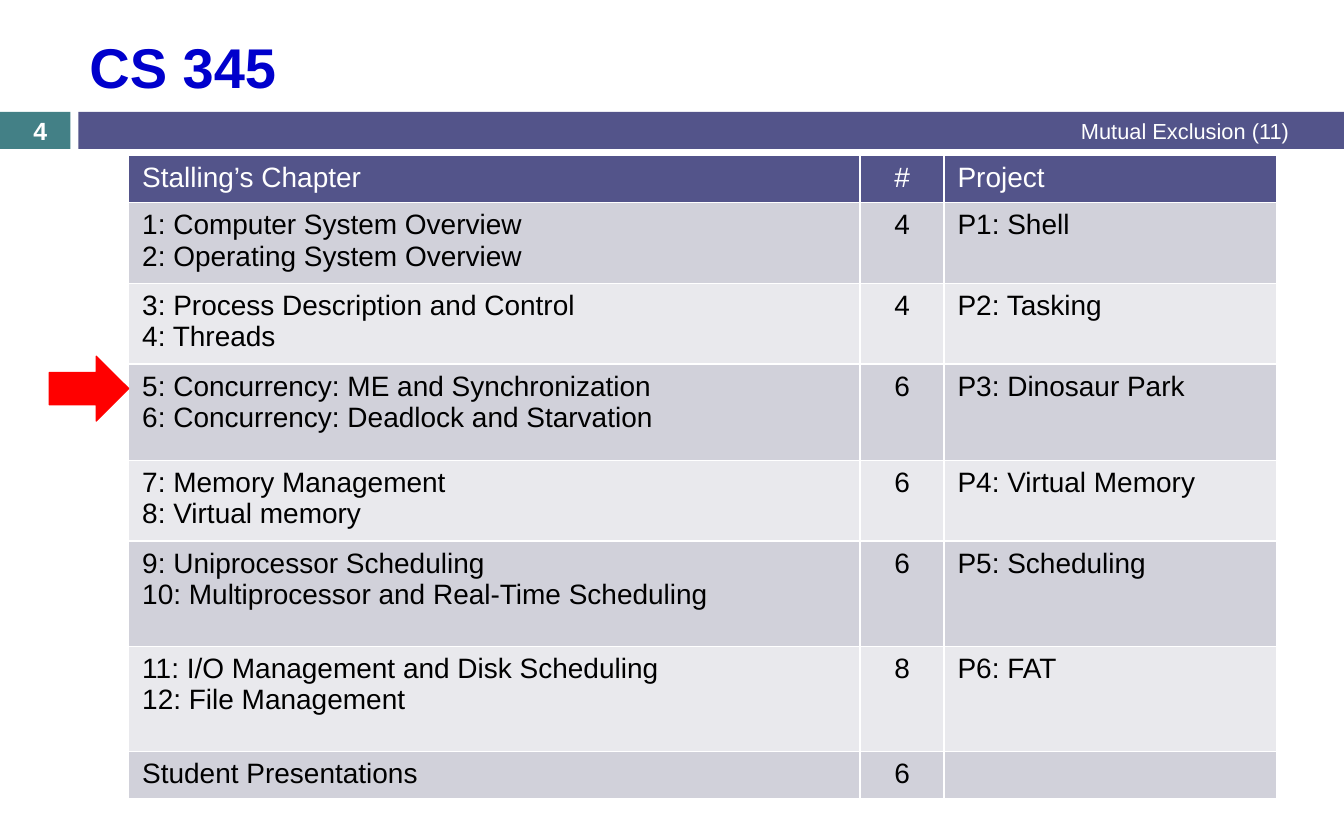
from lxml.etree import SubElement
from pptx import Presentation
from pptx.dml.color import RGBColor
from pptx.enum.shapes import MSO_SHAPE as Shape
from pptx.enum.text import MSO_ANCHOR as Anchor, PP_ALIGN as Align
from pptx.oxml.ns import qn
from pptx.util import Inches, Pt

WHITE, BLACK, INDIGO, TEAL, RED, BLUE = "FFFFFF", "000000", "53548A", "438086", "FF0000", "0000CC"
BANDS = ["E9E9ED", "D1D1DA"]

TITLE = "CS 345"
TOPIC = "Mutual Exclusion (11)"
PAGE = "4"
SCHEDULE = [
    ("Stalling’s Chapter", "#", "Project"),
    ("1: Computer System Overview\n2: Operating System Overview", "4", "P1: Shell"),
    ("3: Process Description and Control\n4: Threads", "4", "P2: Tasking"),
    ("5: Concurrency: ME and Synchronization\n6: Concurrency: Deadlock and Starvation", "6", "P3: Dinosaur Park"),
    ("7: Memory Management\n8: Virtual memory", "6", "P4: Virtual Memory"),
    ("9: Uniprocessor Scheduling\n10: Multiprocessor and Real-Time Scheduling", "6", "P5: Scheduling"),
    ("11: I/O Management and Disk Scheduling\n12: File Management", "8", "P6: FAT"),
    ("Student Presentations", "6", ""),
]
COLUMN_WIDTHS = [6.53, 0.75, 2.97]
ROW_HEIGHTS = [0.37, 0.65, 0.65, 0.86, 0.65, 0.94, 0.94, 0.37]
COLUMN_ALIGNS = [Align.LEFT, Align.CENTER, Align.LEFT]


def color(value):
    return RGBColor.from_string(value)


def inches(values):
    return [Inches(value) for value in values]


def write(text_frame, text, size, ink, align=Align.LEFT, bold=False):
    text_frame.text = text
    for paragraph in text_frame.paragraphs:
        paragraph.alignment = align
        font = paragraph.font
        for target in [font] + [run.font for run in paragraph.runs]:
            target.name, target.size, target.bold = "Arial", Pt(size), bold
            target.color.rgb = color(ink)


def add_text(slide, box, text, size, ink, align=Align.LEFT, bold=False):
    text_frame = slide.shapes.add_textbox(*inches(box)).text_frame
    text_frame.word_wrap = True
    text_frame.vertical_anchor = Anchor.MIDDLE
    write(text_frame, text, size, ink, align, bold)


def add_block(slide, kind, box, fill):
    shape = slide.shapes.add_shape(kind, *inches(box))
    shape.shadow.inherit = False
    shape.fill.solid()
    shape.fill.fore_color.rgb = color(fill)
    shape.line.fill.background()
    return shape


def add_borders(cell):
    properties = cell._tc.get_or_add_tcPr()
    for side in ("lnL", "lnR", "lnT", "lnB"):
        line = SubElement(properties, qn(f"a:{side}"), w=str(Pt(1)))
        SubElement(SubElement(line, qn("a:solidFill")), qn("a:srgbClr"), val=WHITE)


def add_schedule(slide, left, top):
    box = inches([left, top, sum(COLUMN_WIDTHS), sum(ROW_HEIGHTS)])
    table = slide.shapes.add_table(len(SCHEDULE), len(COLUMN_WIDTHS), *box).table
    for column, width in zip(table.columns, COLUMN_WIDTHS):
        column.width = Inches(width)
    for index, (row, height, texts) in enumerate(zip(table.rows, ROW_HEIGHTS, SCHEDULE)):
        row.height = Inches(height)
        fill, ink = (BANDS[index % 2], BLACK) if index else (INDIGO, WHITE)
        for cell, text, align in zip(row.cells, texts, COLUMN_ALIGNS):
            cell.margin_left = cell.margin_right = Inches(0.12)
            cell.margin_top = cell.margin_bottom = Inches(0.06)
            add_borders(cell)
            cell.fill.solid()
            cell.fill.fore_color.rgb = color(fill)
            write(cell.text_frame, text, 18, ink, align)


def main():
    presentation = Presentation()
    presentation.slide_width, presentation.slide_height = inches([12, 7.5])
    slide = presentation.slides.add_slide(presentation.slide_layouts[6])

    add_block(slide, Shape.RECTANGLE, (0, 1, 0.63, 0.33), TEAL)
    add_block(slide, Shape.RECTANGLE, (0.7, 1, 11.3, 0.33), INDIGO)
    add_text(slide, (0.7, 0.19, 10.91, 0.8), TITLE, 36, BLUE, bold=True)
    add_schedule(slide, 1.15, 1.39)
    arrow = add_block(slide, Shape.RIGHT_ARROW, (0.44, 3.18, 0.71, 0.58), RED)
    arrow.line.color.rgb = color(RED)
    arrow.line.width = Pt(0.75)
    add_text(slide, (4.5, 0.99, 7.11, 0.35), TOPIC, 14, WHITE, Align.RIGHT)
    add_text(slide, (0, 1.02, 0.72, 0.3), PAGE, 16, WHITE, Align.CENTER, True)

    presentation.save("out.pptx")


if __name__ == "__main__":
    main()
